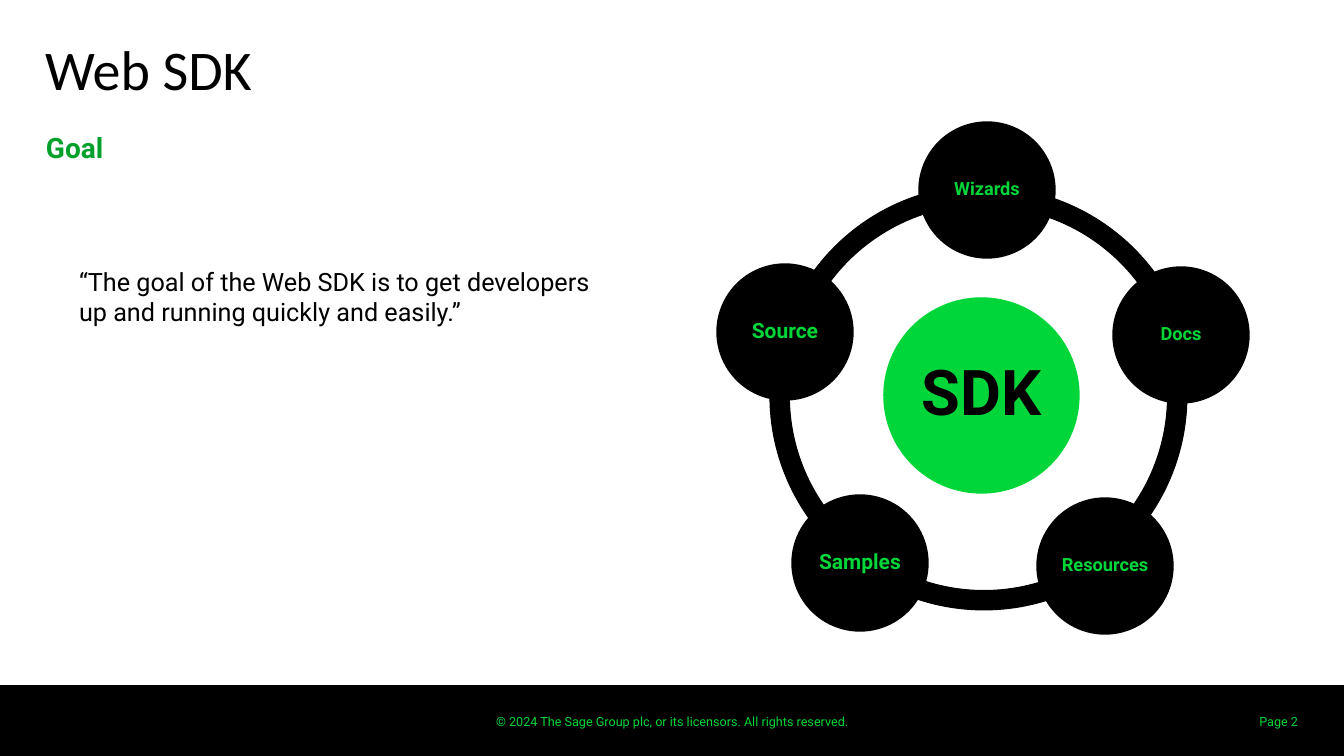
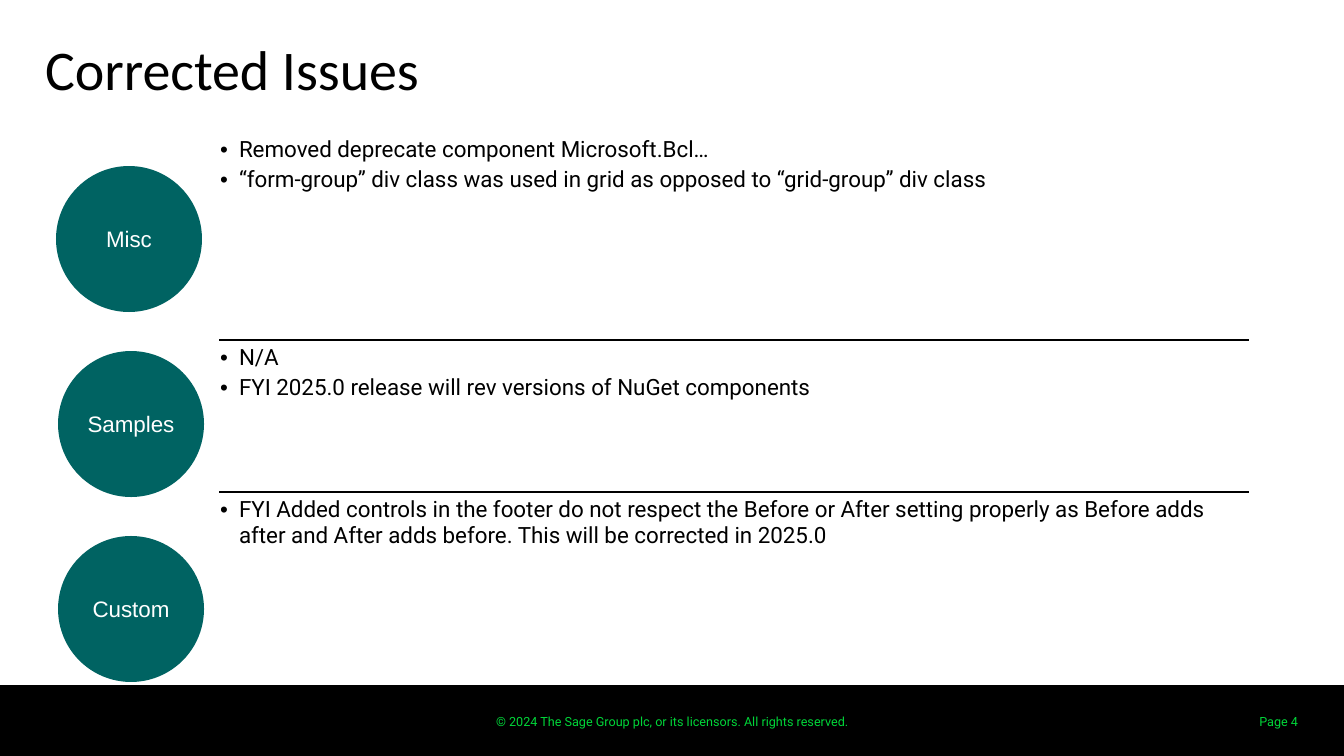
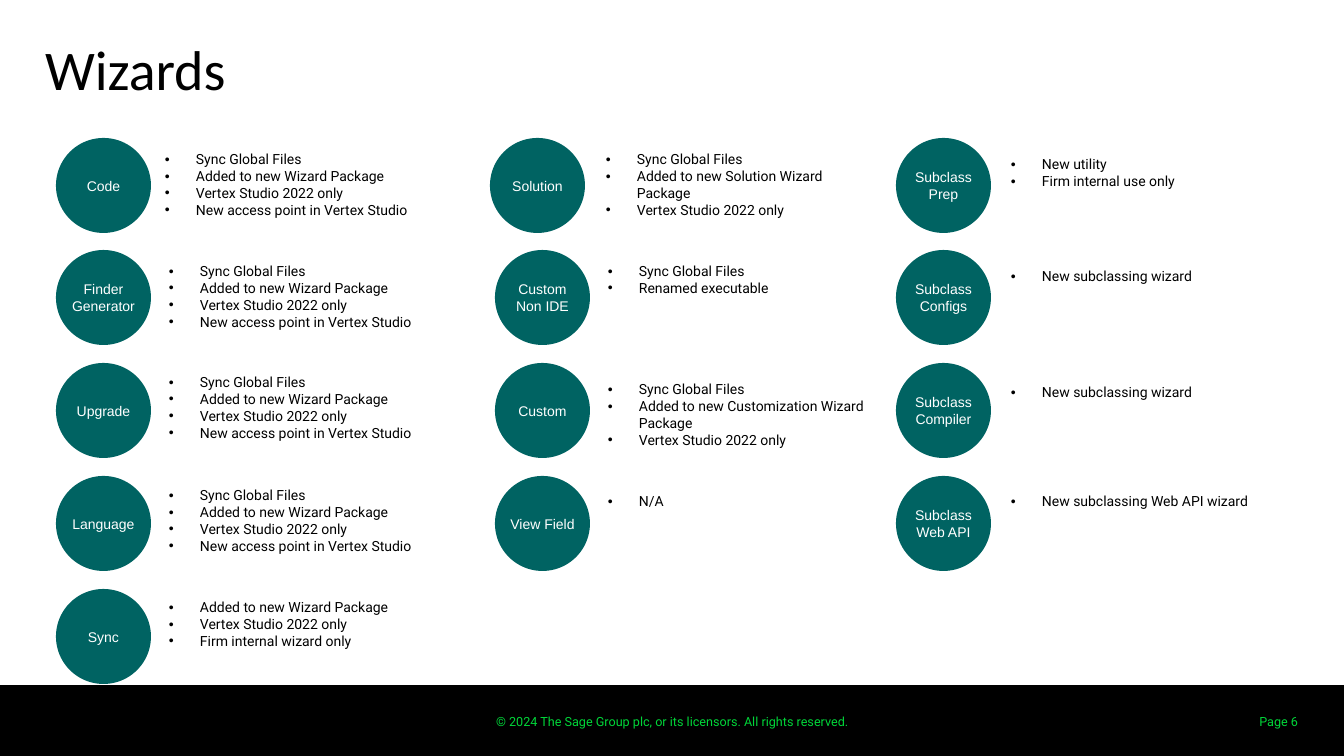
from lxml import etree
from pptx import Presentation
from pptx.dml.color import RGBColor
from pptx.enum.shapes import MSO_SHAPE
from pptx.enum.text import MSO_ANCHOR, PP_ALIGN
from pptx.oxml.ns import qn
from pptx.util import Pt

OVAL, RECT, ARC = MSO_SHAPE.OVAL, MSO_SHAPE.RECTANGLE, MSO_SHAPE.BLOCK_ARC
TOP, MID = MSO_ANCHOR.TOP, MSO_ANCHOR.MIDDLE
LEFT, CENTER, RIGHT = PP_ALIGN.LEFT, PP_ALIGN.CENTER, PP_ALIGN.RIGHT

BLACK, WHITE, LIME, GREEN, TEAL = "000000", "FFFFFF", "00D639", "00A02B", "006362"
BODY, HEAD, LABEL = "Roboto", "Calibri", "Arial"
WIDE, HIGH = 1344, 756

RIGHTS = "© 2024 The Sage Group plc, or its licensors. All rights reserved."
QUOTE = "“The goal of the Web SDK is to get developers up and running quickly and easily.”"

ARCS = [(773, 188), (770, 185), (773, 185), (774, 187), (765, 185)]
NODES = [
    ("Wizards", 919, 122, 13),
    ("Docs", 1113, 267, 13),
    ("Resources", 1037, 498, 13),
    ("Samples", 792, 495, 15),
    ("Source", 717, 264, 15),
]

ISSUES = [
    ("Misc", 56, 166, 208, [
        "Removed deprecate component Microsoft.Bcl…",
        "“form-group” div class was used in grid as opposed to “grid-group” div class"]),
    ("Samples", 58, 351, 152, [
        "N/A",
        "FYI 2025.0 release will rev versions of NuGet components"]),
    ("Custom", 58, 536, 152, [
        "FYI Added controls in the footer do not respect the Before or After setting "
        "properly as Before adds after and After adds before. "
        "This will be corrected in 2025.0"]),
]

SYNC, ADDED = "Sync Global Files", "Added to new Wizard Package"
STUDIO = "Vertex Studio 2022 only"
FULL = [SYNC, ADDED, STUDIO, "New access point in Vertex Studio"]
CLASS = "New subclassing wizard"
WIZARDS = [
    [
        ("Code", 56, 165, 151, FULL),
        ("Finder\nGenerator", 56, 169, 263, FULL),
        ("Upgrade", 56, 169, 374, FULL),
        ("Language", 56, 169, 487, FULL),
        ("Sync", 56, 169, 599, [ADDED, STUDIO, "Firm internal wizard only"]),
    ],
    [
        ("Solution", 490, 606, 151,
         [SYNC, "Added to new Solution Wizard Package", STUDIO]),
        ("Custom\nNon IDE", 495, 608, 263, [SYNC, "Renamed executable"]),
        ("Custom", 495, 608, 381,
         [SYNC, "Added to new Customization Wizard Package", STUDIO]),
        ("View Field", 495, 608, 493, ["N/A"]),
    ],
    [
        ("Subclass\nPrep", 896, 1011, 156, ["New utility", "Firm internal use only"]),
        ("Subclass\nConfigs", 896, 1011, 268, [CLASS]),
        ("Subclass\nCompiler", 896, 1011, 384, [CLASS]),
        ("Subclass\nWeb API", 896, 1011, 493, ["New subclassing Web API wizard"]),
    ],
]


def px(n):
    return round(n * 914400 / 100.8)


def rgb(code):
    return RGBColor.from_string(code)


def write(frame, text, size=18, font=BODY, color=BLACK, bold=False, align=LEFT,
          anchor=TOP, pad=(0, 0), hang=0, after=0, lead=None):
    frame.word_wrap = True
    frame.vertical_anchor = anchor
    frame.margin_left = frame.margin_right = px(pad[0])
    frame.margin_top = frame.margin_bottom = px(pad[1])
    lines = text.split("\n") if isinstance(text, str) else text
    for i, line in enumerate(lines):
        para = frame.add_paragraph() if i else frame.paragraphs[0]
        if hang:
            props = para._p.get_or_add_pPr()
            props.set("marL", str(px(hang)))
            props.set("indent", str(-px(hang)))
            etree.SubElement(props, qn("a:buFont"), typeface="Arial")
            etree.SubElement(props, qn("a:buChar"), char="•")
        para.alignment = align
        para.space_after = Pt(after)
        if lead:
            para.line_spacing = lead
        run = para.add_run()
        run.text = line
        run.font.size, run.font.name, run.font.bold = Pt(size), font, bold
        run.font.color.rgb = rgb(color)


def label(slide, text, x, y, w, h, **style):
    box = slide.shapes.add_textbox(px(x), px(y), px(w), px(h))
    write(box.text_frame, text, **style)
    return box


def shape(slide, kind, x, y, w, h, fill, line=0):
    item = slide.shapes.add_shape(kind, px(x), px(y), px(w), px(h))
    item.shadow.inherit = False
    item.fill.solid()
    item.fill.fore_color.rgb = rgb(fill)
    if line:
        item.line.color.rgb = rgb(fill)
        item.line.width = Pt(line)
    else:
        item.line.fill.background()
    return item


def disc(slide, text, x, y, wide, fill, line=0, **style):
    item = shape(slide, OVAL, x, y, wide, wide, fill, line)
    write(item.text_frame, text, align=CENTER, anchor=MID, **style)


def hub(slide, text, x, y, wide, fill, ink, size):
    disc(slide, text, x, y, wide, fill, 1, size=size, color=ink, bold=True, lead=0.9)


def dot(slide, text, x, y, wide, size):
    disc(slide, text, x, y, wide, TEAL, size=size, font=LABEL, color=WHITE)


def rule(cell, tag):
    line = etree.Element(qn(tag), w=str(Pt(1)))
    fill = etree.SubElement(line, qn("a:solidFill"))
    etree.SubElement(fill, qn("a:srgbClr"), val=BLACK)
    cell._tc.get_or_add_tcPr().insert(0, line)


def share(slide, layout):
    band = shape(slide, RECT, 0, 685, WIDE, 71, BLACK)
    note = label(slide, RIGHTS, 492, 709, 360, 25, size=9, color=LIME,
                 align=CENTER, pad=(0, 5))
    for item in (band, note):
        layout.shapes.element.append(item._element)


def start(deck, title, page):
    slide = deck.slides.add_slide(deck.slide_layouts[5])
    head = slide.shapes.title
    head.left, head.top, head.width, head.height = px(45), px(34), px(1252), px(66)
    write(head.text_frame, title, size=40, font=HEAD)
    label(slide, f"Page {page}", 1216, 702, 92, 40, size=9, color=LIME,
          align=RIGHT, anchor=MID, pad=(10, 5))
    return slide


def goal(slide):
    label(slide, "Goal", 46, 126, 1251, 48, size=20, color=GREEN, bold=True, pad=(0, 5))
    label(slide, QUOTE, 69, 261, 535, 72, pad=(10, 5))
    for i, (x, y) in enumerate(ARCS):
        arc = shape(slide, ARC, x, y, 422, 422, BLACK, 0.75)
        first = (54 + 72 * i) % 360
        last = (first + 72) % 360
        for j, value in enumerate((first * 0.6, last * 0.6, 0.046)):
            arc.adjustments[j] = value
    hub(slide, "SDK", 884, 298, 195, LIME, BLACK, 45)
    for text, x, y, size in NODES:
        hub(slide, text, x, y, 136, BLACK, LIME, size)


def issues(slide):
    rows = [row[3] for row in ISSUES]
    frame = slide.shapes.add_table(len(rows), 1, px(220), px(132), px(1028), px(sum(rows)))
    table = frame.table
    table.first_row = table.horz_banding = False
    for i, (text, x, y, high, points) in enumerate(ISSUES):
        dot(slide, text, x, y, 146, 16)
        table.rows[i].height = px(high)
        cell = table.cell(i, 0)
        cell.fill.background()
        cell.margin_left = cell.margin_right = 0
        cell.margin_top = cell.margin_bottom = px(5)
        write(cell.text_frame, points, size=16, hang=19, after=3, pad=(0, 5))
        if i < len(rows) - 1:
            rule(cell, "a:lnB")
        if i:
            rule(cell, "a:lnT")


def wizards(slide):
    for column in WIZARDS:
        for i, (text, x, left, top, points) in enumerate(column):
            dot(slide, text, x, 138 + 451 * i // 4, 95, 10)
            label(slide, points, left, top, 269, 58, size=10, hang=31)


PAGES = [("Web SDK", 2, goal), ("Corrected Issues", 4, issues), ("Wizards", 6, wizards)]


def main():
    deck = Presentation()
    deck.slide_width, deck.slide_height = px(WIDE), px(HIGH)
    for title, page, draw in PAGES:
        slide = start(deck, title, page)
        draw(slide)
    share(deck.slides[0], deck.slide_layouts[5])
    deck.save("out.pptx")


if __name__ == "__main__":
    main()
